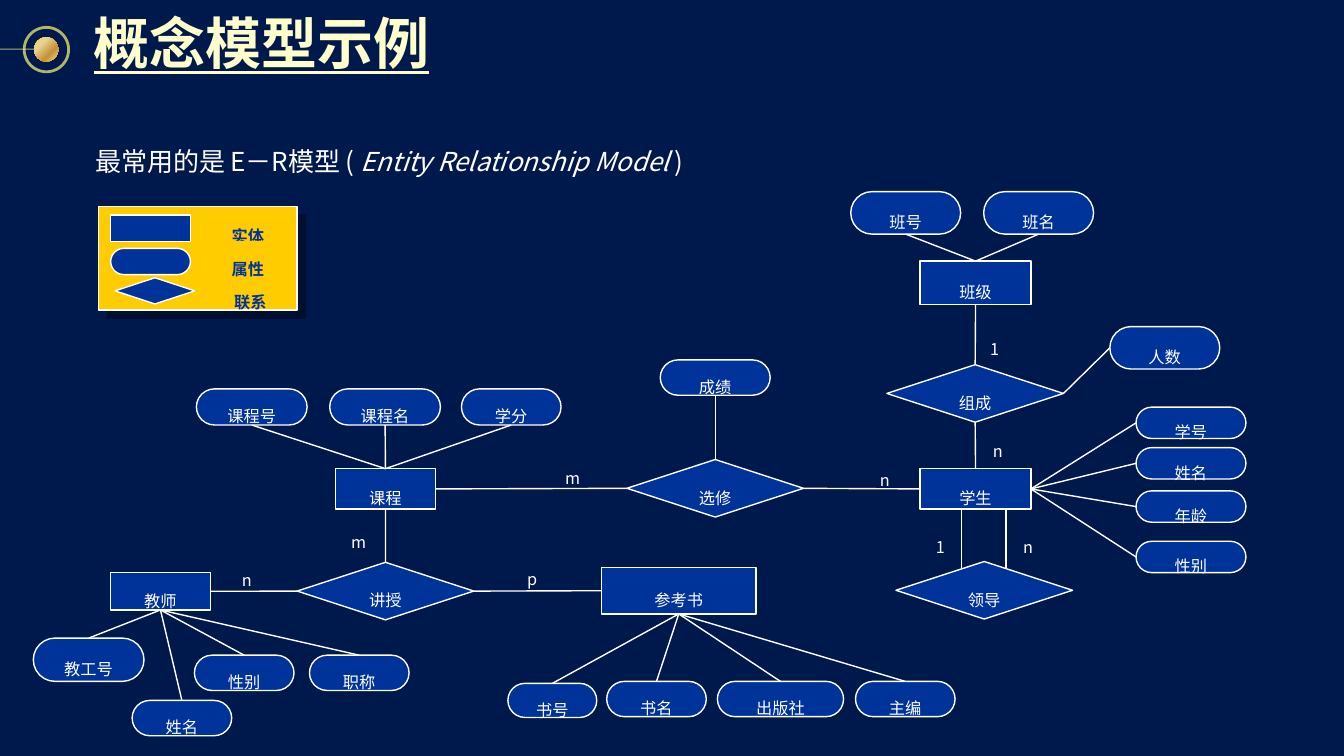
import pptx
import pptx.dml.color
import pptx.enum.shapes
import pptx.enum.text
import pptx.oxml
import pptx.oxml.ns
import pptx.util

Cm, Pt = pptx.util.Cm, pptx.util.Pt
RGBColor = pptx.dml.color.RGBColor
SHAPE = pptx.enum.shapes.MSO_SHAPE
STRAIGHT = pptx.enum.shapes.MSO_CONNECTOR.STRAIGHT
ALIGN = pptx.enum.text.PP_ALIGN
ANCHOR = pptx.enum.text.MSO_ANCHOR

NAVY = RGBColor(0x00, 0x19, 0x4C)
BLUE = RGBColor(0x00, 0x33, 0x99)
WHITE = RGBColor(0xFF, 0xFF, 0xFF)
CREAM = RGBColor(0xFF, 0xFF, 0xCC)
AMBER = RGBColor(0xFF, 0xCC, 0x00)
LEMON = RGBColor(0xFC, 0xF8, 0x73)
SHADE = RGBColor(0x00, 0x05, 0x14)
GOLD_STOPS = [(0, RGBColor(0xFC, 0xD8, 0x60)), (31, RGBColor(0xE6, 0xD3, 0x8F)),
              (68, RGBColor(0xC6, 0x91, 0x35)), (100, RGBColor(0xF1, 0xDF, 0x97))]
FONT = "Noto Sans CJK SC"

TITLE = "概念模型示例"
INTRO = [("最常用的是 E－R模型 ( ", False), ("Entity Relationship Model ", True), (")", False)]

# Boxes are left, top, width, height in centimetres.
ENTITIES = {
    "课程": (8.46, 11.81, 2.51, 1.02),
    "教师": (2.79, 14.43, 2.51, 0.94),
    "参考书": (15.16, 14.3, 3.89, 1.17),
    "学生": (23.19, 11.81, 2.79, 1.02),
    "班级": (23.19, 6.58, 2.79, 1.09),
}
RELATION_SIZE = (4.45, 1.45)
RELATIONS = {"选修": (15.8, 11.58), "组成": (22.35, 9.19),
             "讲授": (7.49, 14.17), "领导": (22.58, 14.15)}
# Owner, side of the attribute, side of the owner, attributes.
ATTRIBUTES = [
    ("课程", "bottom", "top", [("课程号", 4.95, 9.8, 2.79, 0.91), ("课程名", 8.31, 9.8, 2.79, 0.91),
                             ("学分", 11.63, 9.8, 2.51, 0.91)]),
    ("教师", "top", "bottom", [("教工号", 0.84, 16.08, 2.79, 1.09), ("姓名", 3.33, 17.65, 2.51, 0.89),
                             ("性别", 4.9, 16.51, 2.51, 0.89), ("职称", 7.8, 16.51, 2.51, 0.89)]),
    ("参考书", "top", "bottom", [("书号", 12.8, 17.22, 2.24, 0.86), ("书名", 15.29, 17.17, 2.51, 0.89),
                              ("出版社", 18.08, 17.17, 3.18, 0.89), ("主编", 21.56, 17.17, 2.51, 0.89)]),
    ("学生", "left", "right", [("学号", 28.63, 10.26, 2.77, 0.79), ("姓名", 28.63, 11.28, 2.77, 0.79),
                             ("年龄", 28.63, 12.37, 2.77, 0.79), ("性别", 28.63, 13.64, 2.77, 0.79)]),
    ("班级", "bottom", "top", [("班号", 21.44, 4.83, 2.77, 1.07), ("班名", 24.79, 4.83, 2.77, 1.07)]),
    ("选修", "bottom", "top", [("成绩", 16.64, 9.07, 2.77, 0.89)]),
    ("组成", "left", "right", [("人数", 27.97, 8.23, 2.77, 1.07)]),
]
LINKS = [("课程", "right", "选修", "left"), ("选修", "right", "学生", "left"),
         ("班级", "bottom", "组成", "top"), ("组成", "bottom", "学生", "top"),
         ("课程", "bottom", "讲授", "top"), ("讲授", "left", "教师", "right"),
         ("讲授", "right", "参考书", "left")]
LEADER_LINES = [24.23, 25.35]
# Text and centre of each cardinality.
CARDINALITIES = [("m", 14.43, 11.8), ("n", 22.3, 11.85), ("n", 25.15, 11.14),
                 ("1", 25.07, 8.57), ("1", 23.7, 13.55), ("n", 25.91, 13.55),
                 ("m", 9.04, 13.42), ("n", 6.22, 14.39), ("p", 13.41, 14.36)]
# Symbol shape, its corner, label, corner of the label; back to front.
LEGEND = [(SHAPE.RECTANGLE, 2.79, 5.42, "实体", 5.54, 5.23),
          (SHAPE.DIAMOND, 2.9, 7.0, "联系", 5.6, 6.88),
          (SHAPE.ROUNDED_RECTANGLE, 2.79, 6.26, "属性", 5.54, 6.07)]
SIDES = {"top": 0, "left": 1, "bottom": 2, "right": 3}

deck = pptx.Presentation()
deck.slide_width, deck.slide_height = Cm(33.87), Cm(19.05)
page = deck.slides.add_slide(deck.slide_layouts[5])
page.background.fill.solid()
page.background.fill.fore_color.rgb = NAVY


def element(markup):
    namespace = pptx.oxml.ns.nsdecls("a")
    return pptx.oxml.parse_xml(markup.replace(">", f" {namespace}>", 1))


def shadow_effect(color, alpha, distance):
    return element(f'<a:effectLst><a:outerShdw dist="{Pt(distance)}" dir="2700000" algn="ctr">'
                   f'<a:srgbClr val="{color}"><a:alpha val="{alpha}000"/></a:srgbClr>'
                   '</a:outerShdw></a:effectLst>')


def add_run(para, text, size, color, bold=False, italic=False, lowered=True):
    span = para.add_run()
    span.text = text
    font = span.font
    font.size, font.bold, font.italic, font.name = Pt(size), bold, italic, FONT
    font.color.rgb = color
    properties = span._r.get_or_add_rPr()
    properties.append(element(f'<a:ea typeface="{FONT}"></a:ea>'))
    if lowered:
        properties.set("baseline", "-25000")
    return span


def set_frame(box, anchor, margin=0):
    frame = box.text_frame
    frame.word_wrap = False
    frame.vertical_anchor = anchor
    frame.margin_left = frame.margin_right = frame.margin_top = frame.margin_bottom = Cm(margin)
    return frame.paragraphs[0]


def add_label(box, text, color=WHITE, bold=False, anchor=ANCHOR.MIDDLE):
    para = set_frame(box, anchor)
    para.alignment = ALIGN.CENTER
    add_run(para, text, 20, color, bold)


def add_node(kind, left, top, width, height, fill=BLUE, outline=WHITE):
    node = page.shapes.add_shape(kind, Cm(left), Cm(top), Cm(width), Cm(height))
    node.shadow.inherit = False
    if kind == SHAPE.ROUNDED_RECTANGLE:
        node.adjustments[0] = 0.5
    if fill is None:
        node.fill.background()
    else:
        node.fill.solid()
        node.fill.fore_color.rgb = fill
    if outline is None:
        node.line.fill.background()
    else:
        node.line.color.rgb = outline
        node.line.width = Pt(1)
    return node


def add_line(x1=0, y1=0, x2=0, y2=0, color=WHITE, width=1):
    line = page.shapes.add_connector(STRAIGHT, Cm(x1), Cm(y1), Cm(x2), Cm(y2))
    line.line.color.rgb = color
    line.line.width = Pt(width)
    line._element.spPr.append(element("<a:effectLst></a:effectLst>"))
    return line


def join(first, first_side, second, second_side):
    line = add_line()
    line.begin_connect(first, SIDES[first_side])
    line.end_connect(second, SIDES[second_side])


def fade(shape):
    """Make the outline slightly transparent."""
    for color in shape._element.spPr.iter(pptx.oxml.ns.qn("a:srgbClr")):
        color.append(element('<a:alpha val="70000"></a:alpha>'))


# Title ornament
ring = add_node(SHAPE.OVAL, 0.61, 0.69, 1.12, 1.12, None, LEMON)
ring.line.width = Pt(2)
fade(ring)
fade(add_line(0, 1.24, 0.86, 1.24, LEMON, 0.75))
ball = add_node(SHAPE.OVAL, 0.86, 0.94, 0.61, 0.61, outline=None)
stops = "".join(f'<a:gs pos="{place}000"><a:srgbClr val="{color}"/></a:gs>' for place, color in GOLD_STOPS)
solid = ball._element.spPr.find(pptx.oxml.ns.qn("a:solidFill"))
solid.getparent().replace(solid, element(
    f'<a:gradFill><a:gsLst>{stops}</a:gsLst><a:lin ang="2700000" scaled="0"/></a:gradFill>'))

# Heading and introduction
title = page.shapes.title
title.left, title.top, title.width, title.height = Cm(2.16), Cm(0), Cm(8.94), Cm(2.11)
title_para = set_frame(title, ANCHOR.MIDDLE, 0.2)
title_para.alignment = ALIGN.LEFT
title_span = add_run(title_para, TITLE, 40, CREAM, bold=True, lowered=False)
title_span.font.underline = True
latin = title_span._r.get_or_add_rPr().find(pptx.oxml.ns.qn("a:latin"))
latin.addprevious(shadow_effect(RGBColor(0, 0, 0), 100, 3))

intro = page.shapes.add_textbox(Cm(2.16), Cm(2.79), Cm(28.24), Cm(2.03))
intro.text_frame.word_wrap = True
for text, italic in INTRO:
    add_run(intro.text_frame.paragraphs[0], text, 32, WHITE, italic=italic)

# Entity-relationship diagram
for x in LEADER_LINES:
    add_line(x, 12.7, x, 14.63)

nodes = {}
for name, box in ENTITIES.items():
    nodes[name] = add_node(SHAPE.RECTANGLE, *box)
    add_label(nodes[name], name)
for name, corner in RELATIONS.items():
    nodes[name] = add_node(SHAPE.DIAMOND, *corner, *RELATION_SIZE)
    add_label(nodes[name], name)
for owner, attribute_side, owner_side, attributes in ATTRIBUTES:
    for name, *box in attributes:
        attribute = add_node(SHAPE.ROUNDED_RECTANGLE, *box)
        add_label(attribute, name)
        join(nodes[owner], owner_side, attribute, attribute_side)
for first, first_side, second, second_side in LINKS:
    join(nodes[first], first_side, nodes[second], second_side)
for text, x, y in CARDINALITIES:
    add_label(page.shapes.add_textbox(Cm(x - 0.84), Cm(y - 0.37), Cm(1.68), Cm(0.74)), text)

# Legend
panel = add_node(SHAPE.RECTANGLE, 2.49, 5.21, 5, 2.6, AMBER)
effects = panel._element.spPr.find(pptx.oxml.ns.qn("a:effectLst"))
effects.getparent().replace(effects, shadow_effect(SHADE, 50, 8.5))
for kind, left, top, name, label_left, label_top in LEGEND:
    add_node(kind, left, top, 2.01, 0.66)
    label = add_node(SHAPE.RECTANGLE, label_left, label_top, 1.42, 0.86, AMBER, None)
    add_label(label, name, BLUE, True, ANCHOR.TOP)

deck.save("out.pptx")
